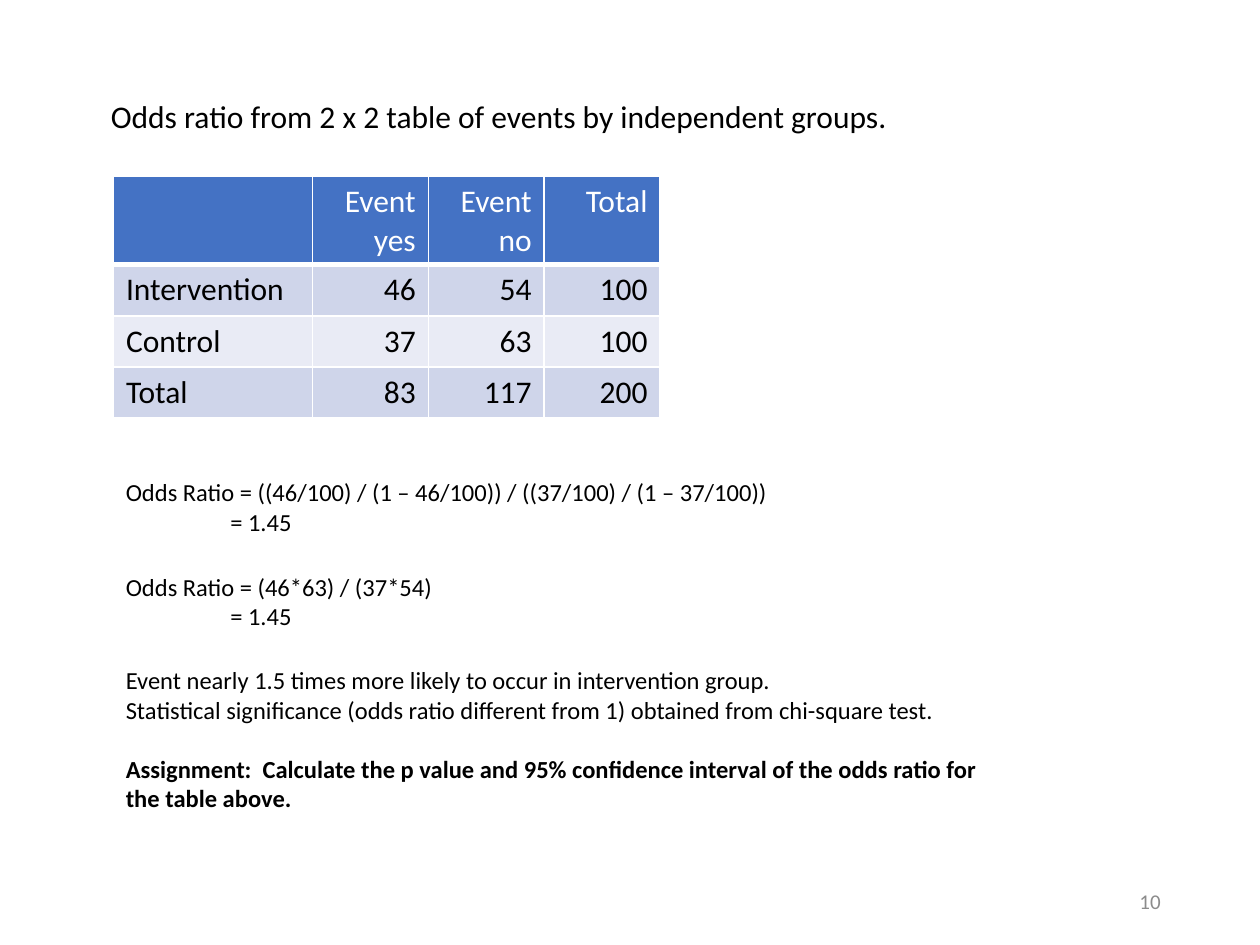
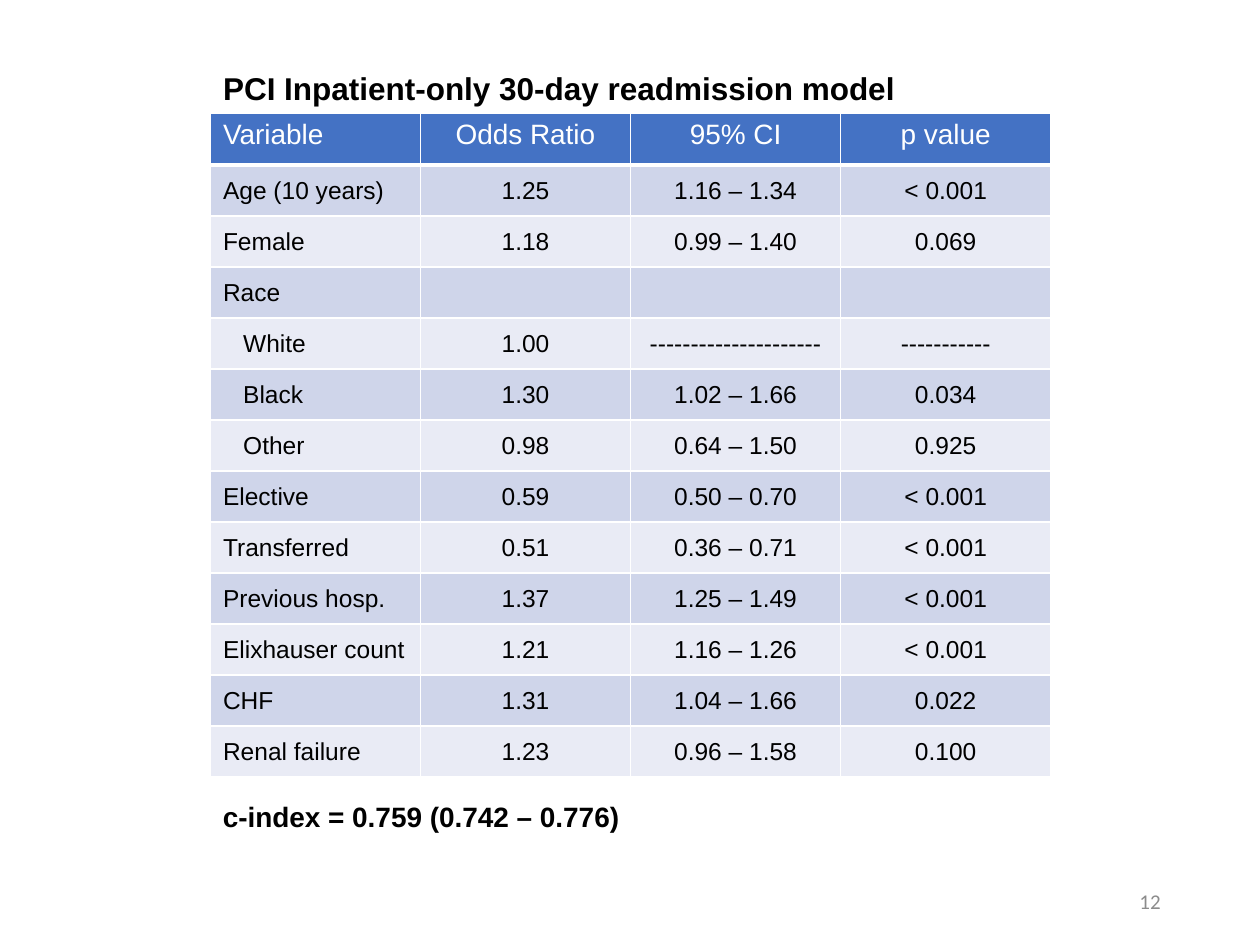
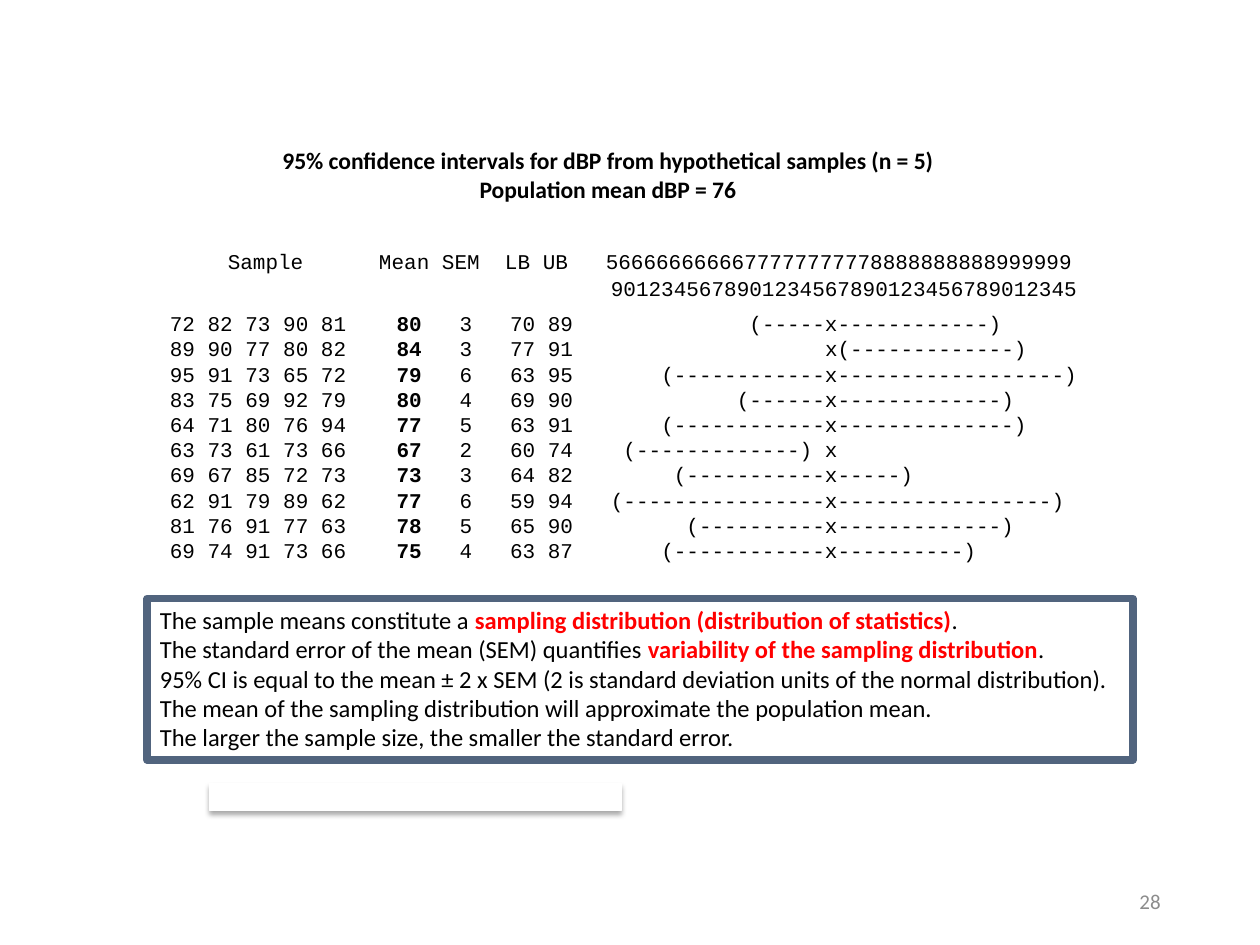
import lxml.etree
import pptx
import pptx.dml.color
import pptx.enum.shapes
import pptx.enum.text
import pptx.oxml
import pptx.oxml.ns
import pptx.util

Inches = pptx.util.Inches
Pt = pptx.util.Pt
ALIGN = pptx.enum.text.PP_ALIGN
ANCHOR = pptx.enum.text.MSO_ANCHOR
RECTANGLE = pptx.enum.shapes.MSO_SHAPE.RECTANGLE
qn = pptx.oxml.ns.qn

COLORS = {
    "text": "000000",
    "white": "FFFFFF",
    "header": "4472C4",
    "band_dark": "CFD5EA",
    "band_light": "E9EBF5",
    "number": "8C8C8C",
    "highlight": "FF0000",
    "frame": "51647E",
}


def write(frame, paragraphs, size, font="Calibri", color="text", bold=False,
          align=ALIGN.LEFT, anchor=ANCHOR.TOP):
    """Each paragraph is a dict: runs of (text, bold, color), and optional
    space (points), line (points), indent (inches) and tabs (inches)."""
    frame.word_wrap = True
    frame.vertical_anchor = anchor
    for index, item in enumerate(paragraphs):
        paragraph = frame.paragraphs[0] if index == 0 else frame.add_paragraph()
        paragraph.alignment = align
        paragraph.space_before = Pt(item.get("space", 0))
        if "line" in item:
            paragraph.line_spacing = Pt(item["line"])
        properties = paragraph._p.get_or_add_pPr()
        if "indent" in item:
            properties.set("marL", str(Inches(item["indent"])))
            properties.set("indent", "0")
        if "tabs" in item:
            tab_list = lxml.etree.SubElement(properties, qn("a:tabLst"))
            for position in item["tabs"]:
                lxml.etree.SubElement(tab_list, qn("a:tab"),
                                      pos=str(Inches(position)), algn="l")
        for text, run_bold, run_color in item["runs"]:
            run = paragraph.add_run()
            run.text = text
            run.font.name = font
            run.font.size = Pt(size)
            run.font.bold = bold or run_bold
            run.font.color.rgb = pptx.dml.color.RGBColor.from_string(
                COLORS[run_color or color])


def add_banded_table(slide, rows, box, widths, header_height, font, sizes,
                     align, body_anchor):
    table = slide.shapes.add_table(len(rows), len(widths),
                                   *[Inches(value) for value in box]).table
    for column, width in zip(table.columns, widths):
        column.width = Inches(width)
    body_height = (box[3] - header_height) / (len(rows) - 1)
    for r, values in enumerate(rows):
        is_header = r == 0
        table.rows[r].height = Inches(header_height if is_header else body_height)
        fill = "header" if is_header else "band_dark" if r % 2 else "band_light"
        for c, value in enumerate(values):
            cell = table.cell(r, c)
            # Borders, with a heavier rule under the header
            for side in "LRTB":
                weight = 3 if is_header and side == "B" else 1
                border = lxml.etree.SubElement(cell._tc.get_or_add_tcPr(),
                                               qn("a:ln" + side), w=str(Pt(weight)))
                solid = lxml.etree.SubElement(border, qn("a:solidFill"))
                lxml.etree.SubElement(solid, qn("a:srgbClr"), val=COLORS["white"])
            cell.fill.solid()
            cell.fill.fore_color.rgb = pptx.dml.color.RGBColor.from_string(COLORS[fill])
            cell.vertical_anchor = ANCHOR.TOP if is_header else body_anchor
            if value:
                write(cell.text_frame, [{"runs": [(value, False, None)]}],
                      sizes[0] if is_header else sizes[1], font,
                      "white" if is_header else "text",
                      align=align if c else ALIGN.LEFT,
                      anchor=None)
    return table


presentation = pptx.Presentation()
presentation.slide_width = Inches(10)
presentation.slide_height = Inches(7.5)

# Slides with their titles and slide numbers
titles = [
    (["Odds ratio from 2 x 2 table of events by independent groups."],
     (0.78, 0.72, 7.92, 0.4), "Calibri", 18, False, ALIGN.LEFT, "10"),
    (["PCI Inpatient-only 30-day readmission model"],
     (1.67, 0.5, 6.66, 0.4), "Arial", 18, True, ALIGN.LEFT, "12"),
    (["95% confidence intervals for dBP from hypothetical samples (n = 5)",
      "Population mean dBP = 76"],
     (1.98, 1.11, 5.69, 0.56), "Calibri", 13.5, True, ALIGN.CENTER, "28"),
]
slides = []
for lines, box, font, size, bold, align, number in titles:
    slide = presentation.slides.add_slide(presentation.slide_layouts[5])
    title = slide.shapes.title
    title.left, title.top, title.width, title.height = [Inches(v) for v in box]
    title.text_frame.auto_size = pptx.enum.text.MSO_AUTO_SIZE.NONE
    write(title.text_frame, [{"runs": [(line, False, None)]} for line in lines],
          size, font, bold=bold, align=align)
    number_box = slide.shapes.add_textbox(Inches(7.06), Inches(6.95),
                                          Inches(2.25), Inches(0.4))
    write(number_box.text_frame, [{"runs": [(number, False, None)]}], 12,
          color="number", align=ALIGN.RIGHT, anchor=ANCHOR.MIDDLE)
    slides.append(slide)
ratio_slide, model_slide, interval_slide = slides

# Odds ratio: 2 x 2 table
event_rows = [
    ("", "Event yes", "Event no", "Total"),
    ("Intervention", "46", "54", "100"),
    ("Control", "37", "63", "100"),
    ("Total", "83", "117", "200"),
]
add_banded_table(ratio_slide, event_rows, (0.9, 1.4, 4.33, 1.92),
                 (1.58, 0.92, 0.92, 0.92), 0.7, "Calibri", (18, 18),
                 ALIGN.RIGHT, ANCHOR.TOP)

# Odds ratio: calculations and conclusion
result = {"runs": [("= 1.45", False, None)], "indent": 0.83}
notes = [
    ((0.9, 3.74, 7.83, 0.57), [
        {"runs": [("Odds Ratio = ((46/100) / (1 – 46/100)) / ((37/100) / (1 – 37/100))",
                   False, None)]},
        result]),
    ((0.9, 4.49, 4, 0.57), [
        {"runs": [("Odds Ratio = (46*63) / (37*54)", False, None)]},
        result]),
    ((0.9, 5.23, 7.04, 1.28), [
        {"runs": [("Event nearly 1.5 times more likely to occur in intervention group.",
                   False, None)]},
        {"runs": [("Statistical significance (odds ratio different from 1) obtained "
                   "from chi-square test.", False, None)]},
        {"runs": [("Assignment:  Calculate the p value and 95% confidence interval of "
                   "the odds ratio for the table above.", True, None)],
         "space": 17}]),
]
for box, paragraphs in notes:
    note = ratio_slide.shapes.add_textbox(*[Inches(value) for value in box])
    write(note.text_frame, paragraphs, 14)

# Readmission model: table of odds ratios
model_rows = [
    ("Variable", "Odds Ratio", "95% CI", "p value"),
    ("Age (10 years)", "1.25", "1.16 – 1.34", "< 0.001"),
    ("Female", "1.18", "0.99 – 1.40", "0.069"),
    ("Race", "", "", ""),
    ("White", "1.00", "---------------------", "-----------"),
    ("Black", "1.30", "1.02 – 1.66", "0.034"),
    ("Other", "0.98", "0.64 – 1.50", "0.925"),
    ("Elective", "0.59", "0.50 – 0.70", "< 0.001"),
    ("Transferred", "0.51", "0.36 – 0.71", "< 0.001"),
    ("Previous hosp.", "1.37", "1.25 – 1.49", "< 0.001"),
    ("Elixhauser count", "1.21", "1.16 – 1.26", "< 0.001"),
    ("CHF", "1.31", "1.04 – 1.66", "0.022"),
    ("Renal failure", "1.23", "0.96 – 1.58", "0.100"),
]
model_table = add_banded_table(model_slide, model_rows, (1.67, 0.9, 6.67, 5.27),
                               [6.67 / 4] * 4, 0.41, "Arial", (16, 14),
                               ALIGN.CENTER, ANCHOR.MIDDLE)
for race_row in (4, 5, 6):
    model_table.cell(race_row, 0).margin_left = Inches(0.26)

# Readmission model: c-index
c_index = model_slide.shapes.add_textbox(Inches(1.67), Inches(6.3),
                                         Inches(6.66), Inches(0.64))
write(c_index.text_frame, [{"runs": [("c-index = 0.759 (0.742 – 0.776)", True, None)]}],
      16, "Arial")

# Confidence intervals: each character is 0.1 inch wide on an axis from 59 to 95
AXIS_START, AXIS_LEFT, POPULATION_MEAN = 59, 3.5, 76
axis = range(AXIS_START, 96)
tens = "".join(str(value // 10) for value in axis)
units = "".join(str(value % 10) for value in axis)
samples = [
    ("72 82 73 90 81", 80, 3, 70, 89),
    ("89 90 77 80 82", 84, 3, 77, 91),
    ("95 91 73 65 72", 79, 6, 63, 95),
    ("83 75 69 92 79", 80, 4, 69, 90),
    ("64 71 80 76 94", 77, 5, 63, 91),
    ("63 73 61 73 66", 67, 2, 60, 74),
    ("69 67 85 72 73", 73, 3, 64, 82),
    ("62 91 79 89 62", 77, 6, 59, 94),
    ("81 76 91 77 63", 78, 5, 65, 90),
    ("69 74 91 73 66", 75, 4, 63, 87),
]
listing = [
    {"runs": [("\tSample\tMean\tSEM\tLB\tUB\t" + tens, False, None)],
     "tabs": (0.46, 1.66, 2.16, 2.66, 2.96, 3.46), "line": 14.4},
    {"runs": [("\t" + units, False, None)],
     "tabs": (AXIS_LEFT,), "line": 14.4, "space": 1},
]
for index, (sample, mean, error, low, high) in enumerate(samples):
    start, end = min(low, POPULATION_MEAN), max(high, POPULATION_MEAN)
    marks = {low: "(", high: ")", POPULATION_MEAN: "x"}
    interval = "".join(marks.get(value, "-" if low < value < high else " ")
                       for value in range(start, end + 1))
    listing.append({
        "runs": [(sample + "\t", False, None), (str(mean), True, None),
                 (f"\t{error}\t{low} {high}\t{interval}", False, None)],
        "tabs": (1.8, 2.3, 2.7, AXIS_LEFT + 0.1 * (start - AXIS_START)),
        "line": 14.4,
        "space": 0 if index else 6,
    })
listing_box = interval_slide.shapes.add_textbox(Inches(1.25), Inches(1.81),
                                                Inches(7.5), Inches(3.33))
listing_box.text_frame.margin_top = Inches(0.16)
write(listing_box.text_frame, listing, 12, "Courier New")

# Confidence intervals: framed summary
summary = interval_slide.shapes.add_shape(RECTANGLE, Inches(1.17), Inches(4.75),
                                          Inches(7.82), Inches(1.28))
summary.shadow.inherit = False
summary.fill.background()
summary.line.color.rgb = pptx.dml.color.RGBColor.from_string(COLORS["frame"])
summary.line.width = Pt(4.5)
statements = [
    [("The sample means constitute a ", False, None),
     ("sampling distribution (distribution of statistics)", True, "highlight"),
     (".", False, None)],
    [("The standard error of the mean (SEM) quantifies ", False, None),
     ("variability of the sampling distribution", True, "highlight"),
     (".", False, None)],
    [("95% CI is equal to the mean ± 2 x SEM (2 is standard deviation units of the "
      "normal distribution).", False, None)],
    [("The mean of the sampling distribution will approximate the population mean.",
      False, None)],
    [("The larger the sample size, the smaller the standard error.", False, None)],
]
write(summary.text_frame, [{"runs": runs} for runs in statements], 14)

# Confidence intervals: white bar with a soft shadow
bar = interval_slide.shapes.add_shape(RECTANGLE, Inches(1.66), Inches(6.22),
                                      Inches(3.27), Inches(0.21))
bar.fill.solid()
bar.fill.fore_color.rgb = pptx.dml.color.RGBColor.from_string(COLORS["white"])
bar.line.color.rgb = pptx.dml.color.RGBColor.from_string(COLORS["white"])
bar.line.width = Pt(0.5)
bar.shadow.inherit = False
effects = bar._element.spPr.find(qn("a:effectLst"))
shadow = lxml.etree.SubElement(effects, qn("a:outerShdw"), blurRad=str(Pt(3.1)),
                               dist=str(Pt(1.8)), dir="5400000", rotWithShape="0")
shadow_color = lxml.etree.SubElement(shadow, qn("a:srgbClr"), val=COLORS["text"])
lxml.etree.SubElement(shadow_color, qn("a:alpha"), val="35000")

presentation.save("out.pptx")
